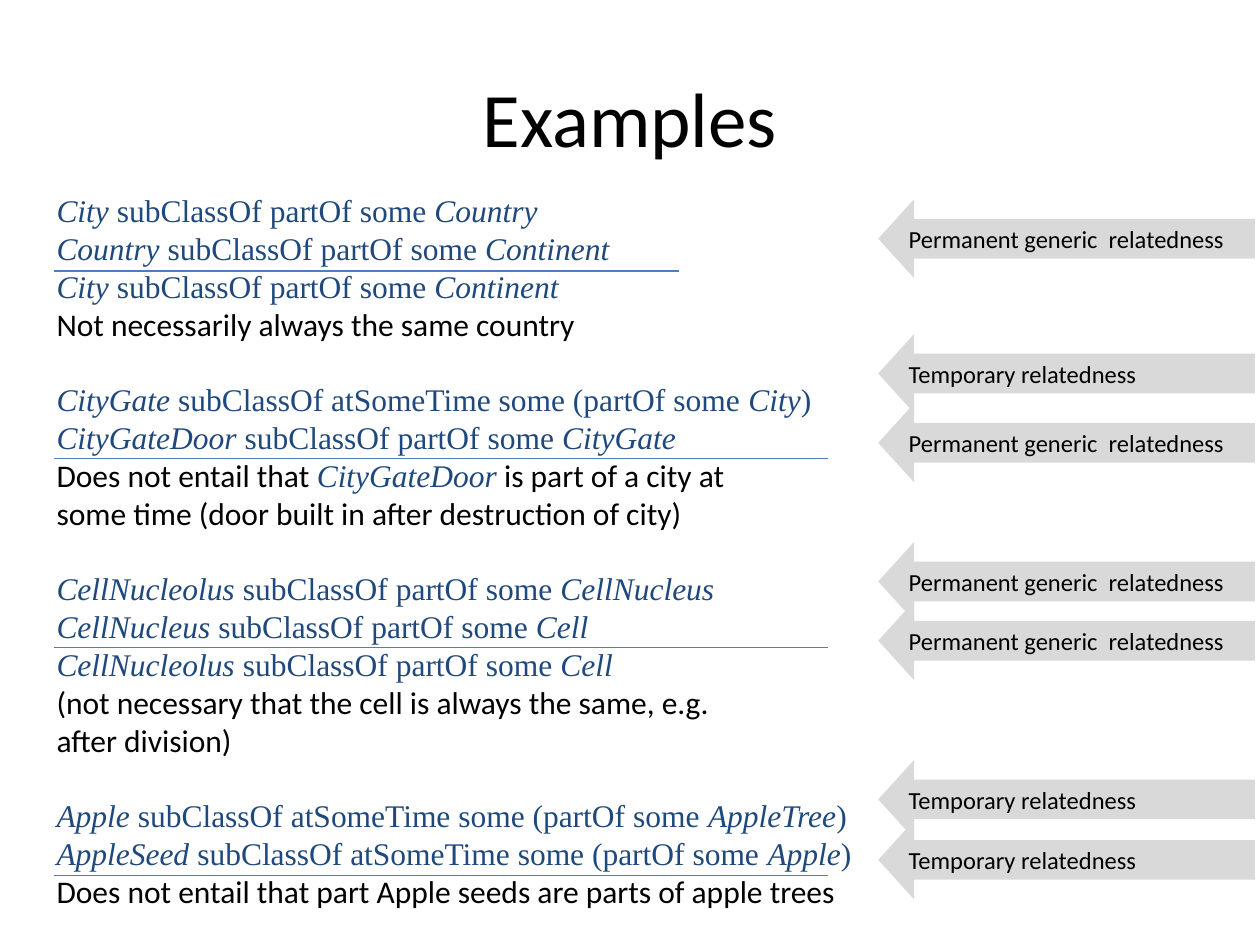
from pptx import Presentation
from pptx.util import Inches, Pt
from pptx.dml.color import RGBColor
from pptx.enum.shapes import MSO_SHAPE as Shape, MSO_CONNECTOR as Connector
from pptx.enum.text import MSO_ANCHOR as Anchor, PP_ALIGN as Align
from pptx.oxml.ns import qn
from lxml.etree import SubElement

COLORS = {"ink": "000000", "formal": "1F497D", "rule": "4B7EBC", "arrow": "D9D9D9"}
SANS, SERIF = "Calibri", "Times New Roman"
LINE_PITCH = 21.6

PERMANENT = "Permanent generic  relatedness"
TEMPORARY = "Temporary relatedness"

EXAMPLES = [
    {"axioms": ["*City* subClassOf partOf some *Country*",
                "*Country* subClassOf partOf some *Continent*",
                "*City* subClassOf partOf some *Continent*"],
     "notes": ["Not necessarily always the same country"],
     "rule": (2.15, 5.39),
     "arrows": [(1.58, PERMANENT)]},
    {"axioms": ["*CityGate* subClassOf atSomeTime some (partOf some *City*)",
                "*CityGateDoor* subClassOf partOf some *CityGate*"],
     "notes": ["Does not entail that *CityGateDoor* is part of a city at",
               "some time (door built in after destruction of city)"],
     "rule": (3.64, 6.57),
     "arrows": [(2.65, TEMPORARY), (3.2, PERMANENT)]},
    {"axioms": ["*CellNucleolus* subClassOf partOf some *CellNucleus*",
                "*CellNucleus* subClassOf partOf some *Cell*",
                "*CellNucleolus* subClassOf partOf some *Cell*"],
     "notes": ["(not necessary that the cell is always the same, e.g.",
               "after division)"],
     "rule": (5.14, 6.57),
     "arrows": [(4.3, PERMANENT), (4.77, PERMANENT)]},
    {"axioms": ["*Apple* subClassOf atSomeTime some (partOf some *AppleTree*)",
                "*AppleSeed* subClassOf atSomeTime some (partOf some *Apple*)"],
     "notes": ["Does not entail that part Apple seeds are parts of apple trees"],
     "rule": (6.95, 6.57),
     "arrows": [(6.03, TEMPORARY), (6.51, TEMPORARY)]},
]


def color(name):
    return RGBColor.from_string(COLORS[name])


def write(para, text, size=18, font=SANS, ink="ink", align=Align.LEFT,
          pitch=None, before=0):
    para.alignment = align
    para.space_before = Pt(before)
    if pitch:
        para.line_spacing = Pt(pitch)
    for index, part in enumerate(text.split("*")):
        if not part:
            continue
        term = index % 2 == 1
        span = para.add_run()
        span.text = part
        span.font.size = Pt(size)
        span.font.italic = term
        span.font.name = SERIF if term else font
        span.font.color.rgb = color("formal" if term else ink)


class Page:
    def __init__(self, deck):
        self.shapes = deck.slides.add_slide(deck.slide_layouts[6]).shapes

    def textbox(self, left, top, width, height, anchor=Anchor.TOP):
        box = self.shapes.add_textbox(Inches(left), Inches(top),
                                      Inches(width), Inches(height))
        frame = box.text_frame
        frame.word_wrap = True
        frame.vertical_anchor = anchor
        return frame

    def title(self, text):
        frame = self.textbox(0.5, 0.3, 9, 1.25, Anchor.MIDDLE)
        write(frame.paragraphs[0], text, size=44, align=Align.CENTER)

    def examples(self, examples):
        frame = self.textbox(0.35, 1.47, 9.61, 5.98)
        para = frame.paragraphs[0]
        gap = 0
        for example in examples:
            lines = [(text, SERIF, "formal") for text in example["axioms"]]
            lines += [(text, SANS, "ink") for text in example["notes"]]
            for text, font, ink in lines:
                para = para if not para.runs else frame.add_paragraph()
                write(para, text, font=font, ink=ink, pitch=LINE_PITCH, before=gap)
                gap = 0
            gap = LINE_PITCH

    def rule(self, top, right):
        line = self.shapes.add_connector(Connector.STRAIGHT, Inches(0.43), Inches(top),
                                         Inches(right), Inches(top))
        line.line.color.rgb = color("rule")
        line.line.width = Pt(0.75)
        SubElement(line._element.spPr, qn("a:effectLst"))

    def arrow(self, top, text):
        arrow = self.shapes.add_shape(Shape.LEFT_ARROW, Inches(6.97), Inches(top),
                                      Inches(2.99), Inches(0.63))
        arrow.adjustments[0] = 0.5
        arrow.adjustments[1] = 0.454
        arrow.shadow.inherit = False
        arrow.fill.solid()
        arrow.fill.fore_color.rgb = color("arrow")
        arrow.line.fill.background()
        frame = arrow.text_frame
        frame.word_wrap = True
        frame.vertical_anchor = Anchor.MIDDLE
        write(frame.paragraphs[0], text, size=14)


deck = Presentation()
deck.slide_width, deck.slide_height = Inches(10), Inches(7.5)
page = Page(deck)
page.title("Examples")
page.examples(EXAMPLES)
for example in EXAMPLES:
    page.rule(*example["rule"])
    for top, text in example["arrows"]:
        page.arrow(top, text)
deck.save("out.pptx")
